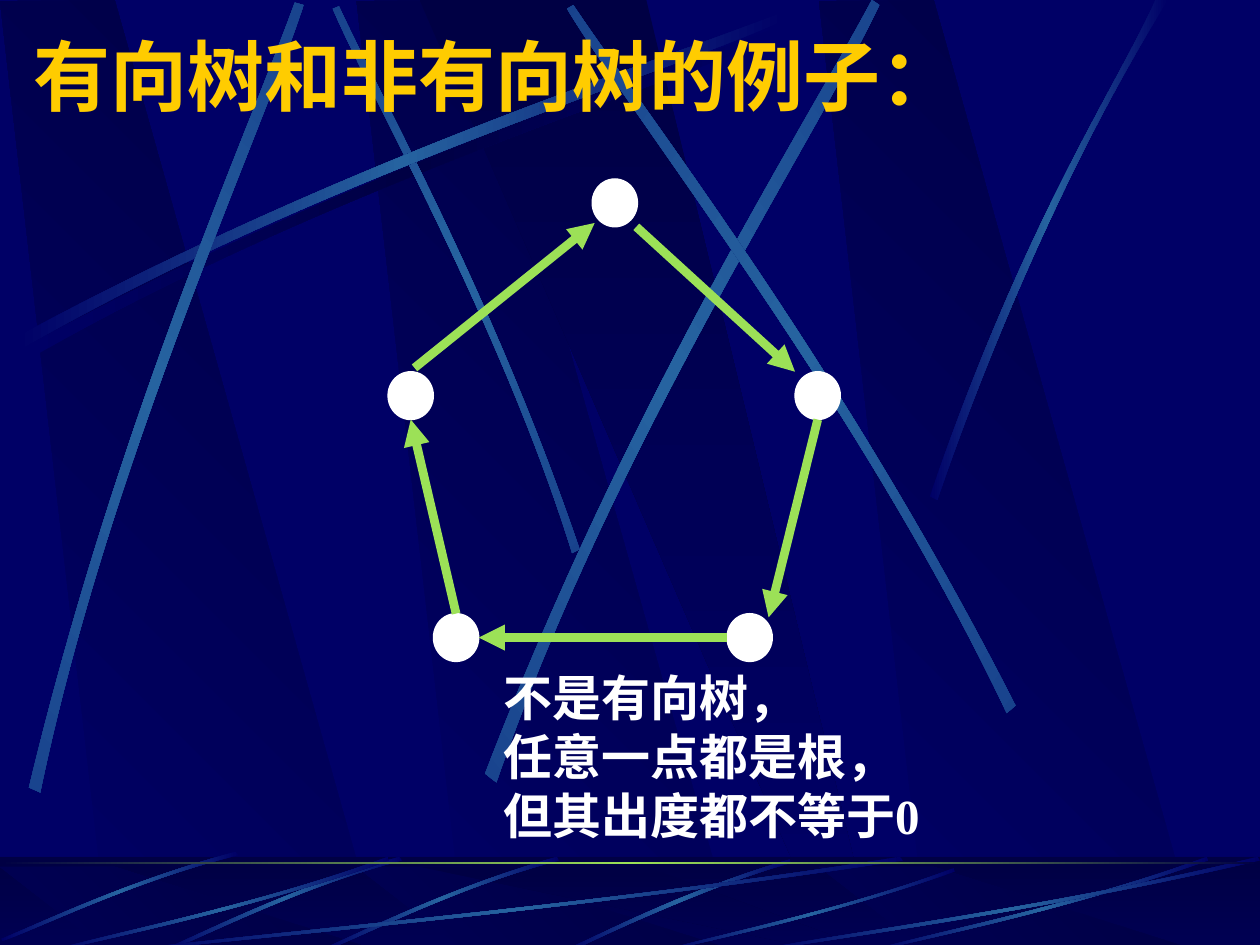
import math
from dataclasses import dataclass

from lxml import etree
from pptx import Presentation
from pptx import util as u
from pptx.dml.color import RGBColor
from pptx.enum import shapes, text
from pptx.oxml import ns

PX = 9144


@dataclass(frozen=True)
class Theme:
    navy: str = "000066"
    dark: str = "000044"
    beam: str = "2663A0"
    beam_end: str = "133585"
    green: str = "9CE157"
    gold: str = "FFCC00"
    white: str = "FFFFFF"
    title_font: str = "Montserrat"
    body_font: str = "Times New Roman"
    title_size: int = 44
    body_size: int = 28


@dataclass(frozen=True)
class Box:
    left: int
    top: int
    width: int
    height: int

    def inner(self, left, top, width, height):
        return Box(self.left + left, self.top + top, width, height)

    def emu(self):
        return [u.Emu(v * PX) for v in (self.left, self.top, self.width, self.height)]


THEME = Theme()
BEAM_COLORS = (THEME.navy, THEME.beam, THEME.navy)
TILTED_COLORS = (THEME.beam_end, THEME.beam, THEME.beam_end)
SHADE_COLORS = (THEME.navy, THEME.dark, THEME.navy)

PANEL = [(86, 750), (302, 752), (91, 0), (0, 1)]
WEDGE = [(0, 0), (325, 750), (361, 750), (180, 0)]
LONG_BEAM = [(14, 267), (278, 125), (518, 51), (620, 10),
             (623, 16), (522, 61), (248, 143), (17, 277)]
TILTED_BEAMS = [
    (312, [(23, 625), (93, 334), (197, 105), (234, 2),
           (241, 4), (207, 109), (86, 368), (32, 629)]),
    (322, [(385, 614), (498, 320), (638, 102), (692, 0),
           (698, 4), (649, 108), (486, 355), (394, 621)]),
    (35, [(806, 560), (670, 293), (516, 95), (455, 4),
          (450, 7), (507, 101), (685, 325), (799, 566)]),
]
CENTRE_BEAM = [(460, 436), (391, 234), (302, 77), (269, 5),
               (264, 7), (295, 79), (398, 258), (454, 439)]
RIGHT_BEAM = [(738, 394), (814, 173), (888, 66), (917, 0),
              (927, 0), (836, 145), (769, 322), (744, 397)]
FOOTER_CURVE = [(179, 0), (89, 27), (29, 60), (0, 72),
                (5, 73), (42, 55), (123, 18), (180, 3)]
ARC = [(186, 0), (99, 25), (31, 60), (0, 73),
       (1, 75), (32, 63), (109, 23), (188, 3)]
SWEEP = [(617, 3), (349, 43), (106, 64), (3, 75),
         (0, 74), (102, 61), (380, 38), (614, 0)]


def color(value):
    return RGBColor.from_string(value)


def paint_gradient(shape, colors, angle):
    shape.fill.background()
    blank = shape._element.spPr.find(ns.qn("a:noFill"))
    gradient = etree.Element(ns.qn("a:gradFill"), rotWithShape="1")
    stops = etree.SubElement(gradient, ns.qn("a:gsLst"))
    for index, value in enumerate(colors):
        position = 100000 * index // (len(colors) - 1)
        stop = etree.SubElement(stops, ns.qn("a:gs"), pos=str(position))
        etree.SubElement(stop, ns.qn("a:srgbClr"), val=value)
    etree.SubElement(gradient, ns.qn("a:lin"), ang=str(angle * 60000), scaled="0")
    blank.getparent().replace(blank, gradient)
    shape.line.fill.background()
    shape.shadow.inherit = False


def turn(point, degrees):
    cosine, sine = math.cos(math.radians(degrees)), math.sin(math.radians(degrees))
    x, y = point
    return x * cosine - y * sine, x * sine + y * cosine


def add_outline(slide, box, points, size, colors, angle=0, rotation=0):
    placed = [turn(((box.left + x * box.width / size[0]) * PX,
                    (box.top + y * box.height / size[1]) * PX), -rotation)
              for x, y in points]
    builder = slide.shapes.build_freeform(*placed[0], scale=1.0)
    builder.add_line_segments(placed[1:], close=True)
    shape = builder.convert_to_shape()
    centre = turn((shape.left + shape.width / 2, shape.top + shape.height / 2), rotation)
    shape.left = u.Emu(round(centre[0] - shape.width / 2))
    shape.top = u.Emu(round(centre[1] - shape.height / 2))
    shape.rotation = rotation
    paint_gradient(shape, colors, angle)
    return shape


def add_beam(slide, box, points, size, rotation=0, colors=BEAM_COLORS):
    shape = add_outline(slide, box, points, size, colors, rotation=rotation)
    lines = list(shape._element.spPr.iter(ns.qn("a:lnTo")))
    for first in (0, 4):
        bend = etree.Element(ns.qn("a:cubicBezTo"))
        lines[first].addprevious(bend)
        for line in lines[first:first + 3]:
            bend.append(line[0])
            line.getparent().remove(line)


def add_panels(slide, box):
    for left in (283, 0, 650):
        add_outline(slide, box.inner(left, 0, 302, box.height), PANEL, (302, 752),
                    (THEME.navy, THEME.dark), 315)
    add_outline(slide, box.inner(333, 0, 361, box.height), WEDGE, (361, 750),
                (THEME.dark, THEME.navy), 90)


def add_band(slide, box, colors, angle):
    band = slide.shapes.add_shape(shapes.MSO_SHAPE.RECTANGLE, *box.emu())
    paint_gradient(band, colors, angle)
    return band


def add_backdrop(slide, box):
    size = (box.width, box.height)
    add_panels(slide, box)
    add_beam(slide, box.inner(6, 8, *size), LONG_BEAM, size, colors=SHADE_COLORS)
    add_beam(slide, box, CENTRE_BEAM, size, 45, TILTED_COLORS)
    add_beam(slide, box, LONG_BEAM, size)
    for rotation, points in TILTED_BEAMS:
        add_beam(slide, box, points, size, rotation, TILTED_COLORS)
    add_beam(slide, box, RIGHT_BEAM, size)


def add_footer(slide, box):
    add_band(slide, box, (THEME.dark, THEME.navy), 90)
    add_panels(slide, box.inner(0, 8, box.width, 67))
    veil = add_band(slide, box, (THEME.dark, THEME.dark), 0)
    veil.fill.solid()
    veil.fill.fore_color.rgb = color(THEME.dark)
    for shade in veil._element.spPr.iter(ns.qn("a:srgbClr")):
        etree.SubElement(shade, ns.qn("a:alpha"), val="50000")
    add_beam(slide, box.inner(448, 2, 180, 73), FOOTER_CURVE, (180, 73))
    for left, top, height in ((256, 0, 75), (131, 0, 75), (1, -4, 71)):
        add_beam(slide, box.inner(left, top, 188, height), ARC, (188, 75))
    for left, top, width in ((100, 0, 617), (42, 0, 267), (527, 9, 231),
                             (692, 0, 267), (600, 0, 400)):
        add_beam(slide, box.inner(left, top, width, 75 - top), SWEEP, (617, 75))
    add_band(slide, box.inner(0, 4, box.width, 2),
             (THEME.dark, THEME.green, THEME.dark), 0)


def add_text(slide, box, lines, font, size, fill, anchor, wrap):
    frame = slide.shapes.add_textbox(*box.emu()).text_frame
    frame.word_wrap = wrap
    frame.auto_size = text.MSO_AUTO_SIZE.SHAPE_TO_FIT_TEXT
    frame.vertical_anchor = anchor
    for index, line in enumerate(lines):
        paragraph = frame.add_paragraph() if index else frame.paragraphs[0]
        run = paragraph.add_run()
        run.text = line
        run.font.name = font
        run.font.size = u.Pt(size)
        run.font.bold = True
        run.font.color.rgb = color(fill)


def add_cycle(slide, box):
    for left, top in ((162, 0), (0, 153), (323, 153), (36, 345), (269, 345)):
        node = slide.shapes.add_shape(shapes.MSO_SHAPE.OVAL,
                                      *box.inner(left, top, 36, 38).emu())
        node.fill.solid()
        node.fill.fore_color.rgb = color(THEME.white)
        node.line.color.rgb = color(THEME.white)
        node.line.width = u.Pt(0.75)
        node.shadow.inherit = False
    for x1, y1, x2, y2 in ((54, 345, 18, 191), (21, 150, 164, 35), (197, 38, 323, 153),
                           (341, 191, 302, 348), (269, 364, 72, 364)):
        start, end = box.inner(x1, y1, 0, 0), box.inner(x2, y2, 0, 0)
        arrow = slide.shapes.add_connector(shapes.MSO_CONNECTOR.STRAIGHT,
                                           *start.emu()[:2], *end.emu()[:2])
        arrow.line.color.rgb = color(THEME.green)
        arrow.line.width = u.Pt(5)
        etree.SubElement(arrow.line._get_or_add_ln(), ns.qn("a:tailEnd"), type="triangle")
        etree.SubElement(arrow._element.spPr, ns.qn("a:effectLst"))


def main():
    presentation = Presentation()
    page = Box(0, 0, 1000, 750)
    presentation.slide_width, presentation.slide_height = page.emu()[2:]
    slide = presentation.slides.add_slide(presentation.slide_layouts[6])
    slide.background.fill.solid()
    slide.background.fill.fore_color.rgb = color(THEME.navy)
    add_backdrop(slide, page)
    add_footer(slide, Box(0, 680, 1000, 75))
    add_text(slide, Box(17, 17, 850, 84), ["有向树和非有向树的例子："], THEME.title_font,
             THEME.title_size, THEME.gold, text.MSO_ANCHOR.MIDDLE, True)
    add_cycle(slide, Box(308, 142, 359, 383))
    add_text(slide, Box(390, 525, 362, 150),
             ["不是有向树，", "任意一点都是根，", "但其出度都不等于0"], THEME.body_font,
             THEME.body_size, THEME.white, text.MSO_ANCHOR.TOP, False)
    presentation.save("out.pptx")


if __name__ == "__main__":
    main()
